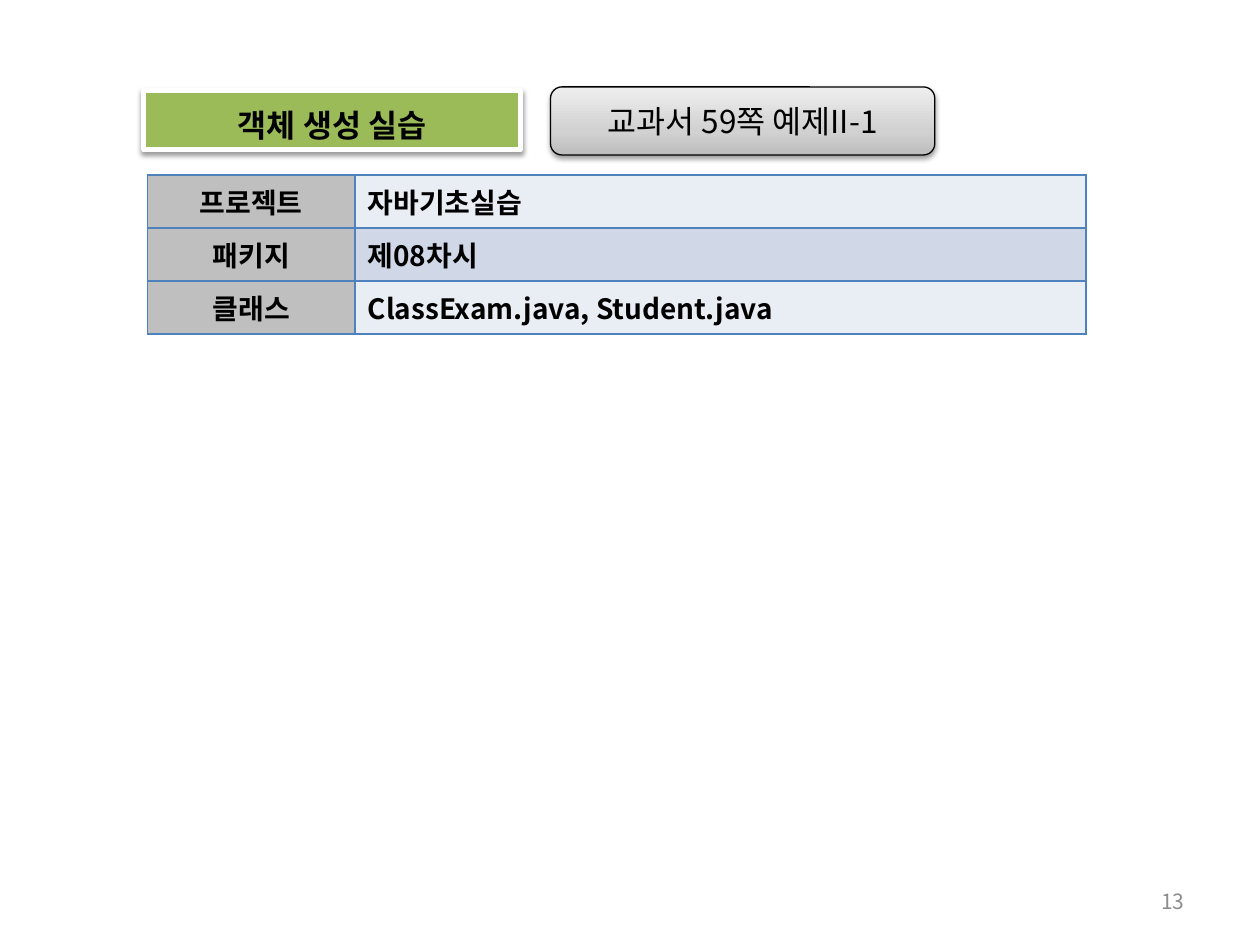
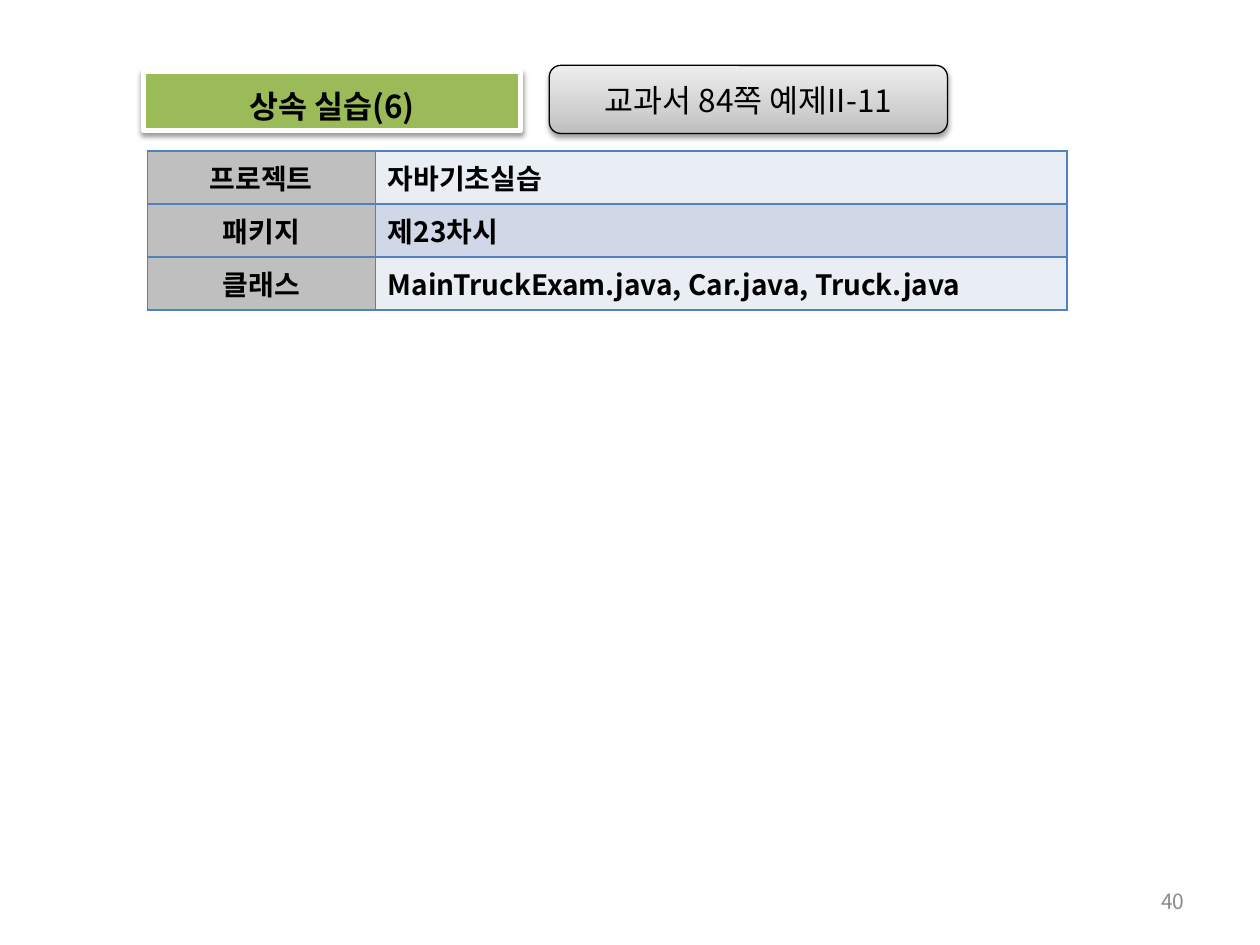
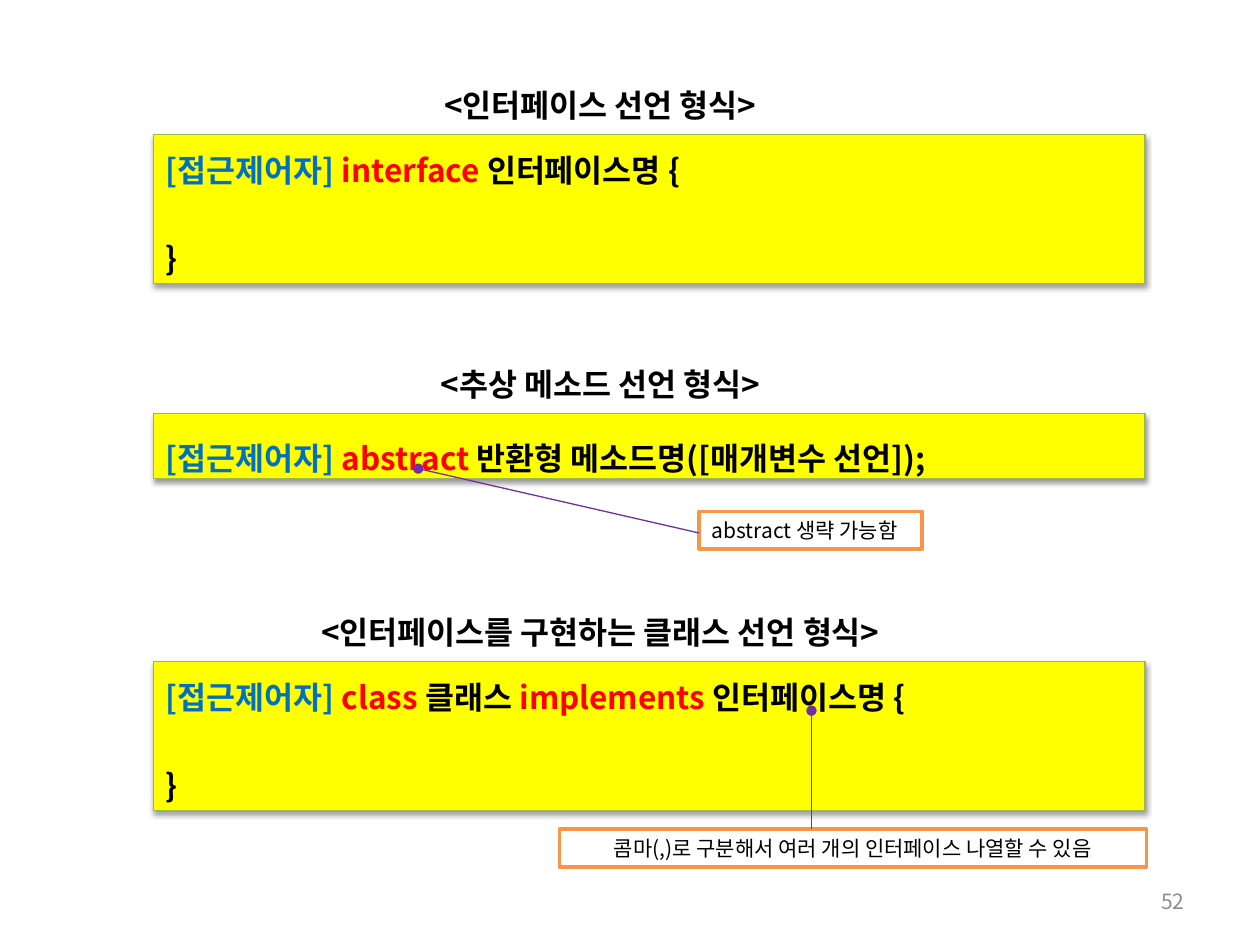
"""Build three Java lesson slides: two exercise cards and one syntax summary."""
from copy import deepcopy

from lxml.etree import SubElement
from pptx import Presentation
from pptx.dml.color import RGBColor
from pptx.enum.shapes import MSO_CONNECTOR, MSO_SHAPE
from pptx.enum.text import MSO_ANCHOR, MSO_AUTO_SIZE, PP_ALIGN
from pptx.oxml.ns import qn
from pptx.util import Pt

FONT = "Noto Sans CJK KR"
BLACK, WHITE, GREY = "000000", "FFFFFF", "8C8C8C"
GREEN, YELLOW, OLIVE = "9BBB59", "FFFF00", "98B955"
BLUE, RED, ORANGE, PURPLE = "0070C0", "FF0000", "F79646", "7030A0"
TABLE_BORDER, LABEL_FILL = "4F81BD", "BFBFBF"
ROW_FILLS = ("E9EDF4", "D0D8E8")
TAG_STOPS = ((0, "BDBDBD"), (0.35, "D1D1D1"), (1, "EEEEEE"))
ROW_LABELS = ("프로젝트", "패키지", "클래스")
ROW_H, LINE_H, HEADING_GAP = 30.24, 25, 34

EXERCISES = [
    {"page": "13", "title": "객체 생성 실습", "title_top": 51.8,
     "tag": "교과서 59쪽 예제II-1", "tag_box": (314.6, 49.7, 219.6, 38.9),
     "table_top": 100.1, "cols": (118.8, 417.6),
     "values": ("자바기초실습", "제08차시", "ClassExam.java, Student.java")},
    {"page": "40", "title": "상속 실습(6)", "title_top": 41,
     "tag": "교과서 84쪽 예제II-11", "tag_box": (313.9, 37.4, 227.5, 38.9),
     "table_top": 86.4, "cols": (130.3, 395.3),
     "values": ("자바기초실습", "제23차시",
                "MainTruckExam.java, Car.java, Truck.java")},
]

SYNTAX_PAGE = "52"
ACCESS = ("[접근제어자] ", BLUE)
CLOSE = [("}", BLACK)]
SYNTAX = [
    {"heading": "<인터페이스 선언 형식>", "top": 77, "height": 85, "spacing": Pt(LINE_H),
     "lines": [[ACCESS, ("interface ", RED), ("인터페이스명 {", BLACK)], CLOSE]},
    {"heading": "<추상 메소드 선언 형식>", "top": 236.2, "height": 37.4, "spacing": 1.5,
     "lines": [[ACCESS, ("abstract ", RED),
                ("반환형 메소드명([매개변수 선언]);", BLACK)]]},
    {"heading": "<인터페이스를 구현하는 클래스 선언 형식>", "top": 378, "height": 85,
     "spacing": Pt(LINE_H),
     "lines": [[ACCESS, ("class ", RED), ("클래스 ", BLACK), ("implements ", RED),
                ("인터페이스명 {", BLACK)], CLOSE]},
]
CALLOUTS = [
    {"text": "abstract 생략 가능함", "box": (399.6, 292.3, 127.4, 21.6),
     "align": PP_ALIGN.LEFT, "line": (239, 267.8, 399.6, 304.6)},
    {"text": "콤마(,)로 구분해서 여러 개의 인터페이스 나열할 수 있음",
     "box": (319.7, 473.8, 335.5, 21.6),
     "align": PP_ALIGN.CENTER, "line": (463.7, 406.1, 463.7, 473.8)},
]


def rgb(color):
    """Turn a hex string into a colour."""
    return RGBColor.from_string(color)


def style_run(r, size, color, bold=False):
    """Set font, size, colour and weight of a run."""
    r.font.name, r.font.size, r.font.bold = FONT, Pt(size), bold
    r.font.color.rgb = rgb(color)
    SubElement(r.font._element, qn("a:ea"), typeface=FONT)


def write(tf, text, size, color=BLACK, bold=False, align=PP_ALIGN.CENTER):
    """Fill a text frame with one formatted paragraph and return it."""
    tf.text = text
    tf.word_wrap = True
    p = tf.paragraphs[0]
    p.alignment = align
    style_run(p.runs[0], size, color, bold)
    return p


def paint(sp, fill=None, line=None, width=0.75):
    """Set solid fill and outline, and drop the theme shadow."""
    sp.shadow.inherit = False
    if fill:
        sp.fill.solid()
        sp.fill.fore_color.rgb = rgb(fill)
    else:
        sp.fill.background()
    if line:
        sp.line.color.rgb = rgb(line)
        sp.line.width = Pt(width)
    else:
        sp.line.fill.background()


def cast_shadow(sp):
    """Give a painted shape a soft shadow below it."""
    effects = sp._element.spPr.find(qn("a:effectLst"))
    outer = SubElement(effects, qn("a:outerShdw"), blurRad=str(Pt(3.1)),
                       dist=str(Pt(1.6)), dir="5400000", rotWithShape="0")
    color = SubElement(outer, qn("a:srgbClr"), val=BLACK)
    SubElement(color, qn("a:alpha"), val="38000")


def add_box(s, kind, box):
    """Add a preset shape at a box given in points."""
    return s.shapes.add_shape(kind, *map(Pt, box))


def pad(tf):
    """Set the inner margins and middle anchor of headings and code boxes."""
    tf.margin_left = tf.margin_right = Pt(7.2)
    tf.margin_top, tf.margin_bottom = Pt(5.8), Pt(3.6)
    tf.vertical_anchor = MSO_ANCHOR.MIDDLE
    tf.auto_size = MSO_AUTO_SIZE.NONE


def write_heading(sp, text):
    """Write a bold centred heading into a shape."""
    pad(sp.text_frame)
    write(sp.text_frame, text, 18, bold=True).line_spacing = Pt(LINE_H)


def place_title(s, box):
    """Move the title placeholder and return it."""
    sp = s.shapes.title
    sp.left, sp.top, sp.width, sp.height = map(Pt, box)
    return sp


def new_slide(prs, page):
    """Add a title-only slide with its page number."""
    s = prs.slides.add_slide(prs.slide_layouts[5])
    tf = s.shapes.add_textbox(*map(Pt, (516.2, 500.4, 167.8, 28.8))).text_frame
    tf.vertical_anchor = MSO_ANCHOR.MIDDLE
    write(tf, page, 12, GREY, align=PP_ALIGN.RIGHT)
    return s


def add_tag(s, text, box):
    """Add the grey gradient tag with the textbook reference."""
    sp = add_box(s, MSO_SHAPE.ROUNDED_RECTANGLE, box)
    paint(sp, WHITE, BLACK)
    sp.fill.gradient()
    sp.fill.gradient_angle = 90
    stops = next(sp._element.spPr.iter(qn("a:gsLst")))
    stops.append(deepcopy(stops[0]))
    for stop, (position, color) in zip(sp.fill.gradient_stops, TAG_STOPS):
        stop.position = position
        stop.color.rgb = rgb(color)
    cast_shadow(sp)
    sp.text_frame.vertical_anchor = MSO_ANCHOR.MIDDLE
    write(sp.text_frame, text, 18)


def fill_cell(cell, text, fill, align):
    """Write, border and fill one table cell."""
    write(cell.text_frame, text, 16, bold=True, align=align)
    tcPr = cell._tc.get_or_add_tcPr()
    for side in ("lnL", "lnR", "lnT", "lnB"):
        ln = SubElement(tcPr, qn(f"a:{side}"), w=str(Pt(1)))
        SubElement(SubElement(ln, qn("a:solidFill")), qn("a:srgbClr"), val=TABLE_BORDER)
    cell.fill.solid()
    cell.fill.fore_color.rgb = rgb(fill)


def add_info_table(s, top, cols, values):
    """Add the project, package and class table."""
    box = (84.2, top, sum(cols), ROW_H * len(values))
    table = s.shapes.add_table(len(values), len(cols), *map(Pt, box)).table
    table.first_row = table.horz_banding = False
    for col, width in zip(table.columns, cols):
        col.width = Pt(width)
    for i, (label, value) in enumerate(zip(ROW_LABELS, values)):
        table.rows[i].height = Pt(ROW_H)
        fill_cell(table.cell(i, 0), label, LABEL_FILL, PP_ALIGN.CENTER)
        fill_cell(table.cell(i, 1), value, ROW_FILLS[i % 2], PP_ALIGN.LEFT)


def build_exercise(prs, ex):
    """Build one exercise slide."""
    s = new_slide(prs, ex["page"])
    title = place_title(s, (82.1, ex["title_top"], 215.3, 33.8))
    paint(title, GREEN, WHITE, 3)
    cast_shadow(title)
    write_heading(title, ex["title"])
    add_info_table(s, ex["table_top"], ex["cols"], ex["values"])
    add_tag(s, ex["tag"], ex["tag_box"])


def add_code(s, part):
    """Add a yellow box with coloured syntax."""
    sp = add_box(s, MSO_SHAPE.FLOWCHART_PROCESS, (87.8, part["top"], 566.6, part["height"]))
    paint(sp, YELLOW, OLIVE)
    cast_shadow(sp)
    tf = sp.text_frame
    pad(tf)
    tf.word_wrap = True
    for i, line in enumerate(part["lines"]):
        p = tf.add_paragraph() if i else tf.paragraphs[0]
        p.alignment = PP_ALIGN.LEFT
        p.line_spacing = part["spacing"]
        if i:
            p.space_before = Pt(LINE_H)
        for text, color in line:
            r = p.add_run()
            r.text = text
            style_run(r, 18, color, True)


def add_callout(s, note):
    """Add an orange note and the line from its code word."""
    sp = add_box(s, MSO_SHAPE.RECTANGLE, note["box"])
    paint(sp, WHITE, ORANGE, 2)
    sp.text_frame.vertical_anchor = MSO_ANCHOR.TOP
    write(sp.text_frame, note["text"], 12, align=note["align"])
    sp.text_frame.auto_size = MSO_AUTO_SIZE.SHAPE_TO_FIT_TEXT
    line = s.shapes.add_connector(MSO_CONNECTOR.STRAIGHT, *map(Pt, note["line"]))
    line.line.color.rgb = rgb(PURPLE)
    line.line.width = Pt(0.75)
    SubElement(line.line._get_or_add_ln(), qn("a:headEnd"), type="oval")
    SubElement(line._element.spPr, qn("a:effectLst"))


def build_syntax(prs):
    """Build the interface syntax slide."""
    s = new_slide(prs, SYNTAX_PAGE)
    for i, part in enumerate(SYNTAX):
        box = (141.8, part["top"] - HEADING_GAP, 402.5, 28.1)
        if i:
            heading = add_box(s, MSO_SHAPE.FLOWCHART_PROCESS, box)
        else:
            heading = place_title(s, box)
        paint(heading)
        write_heading(heading, part["heading"])
        add_code(s, part)
    for note in CALLOUTS:
        add_callout(s, note)


def main():
    """Build and save the deck."""
    prs = Presentation()
    prs.slide_width, prs.slide_height = Pt(720), Pt(540)
    for ex in EXERCISES:
        build_exercise(prs, ex)
    build_syntax(prs)
    prs.save("out.pptx")


if __name__ == "__main__":
    main()
